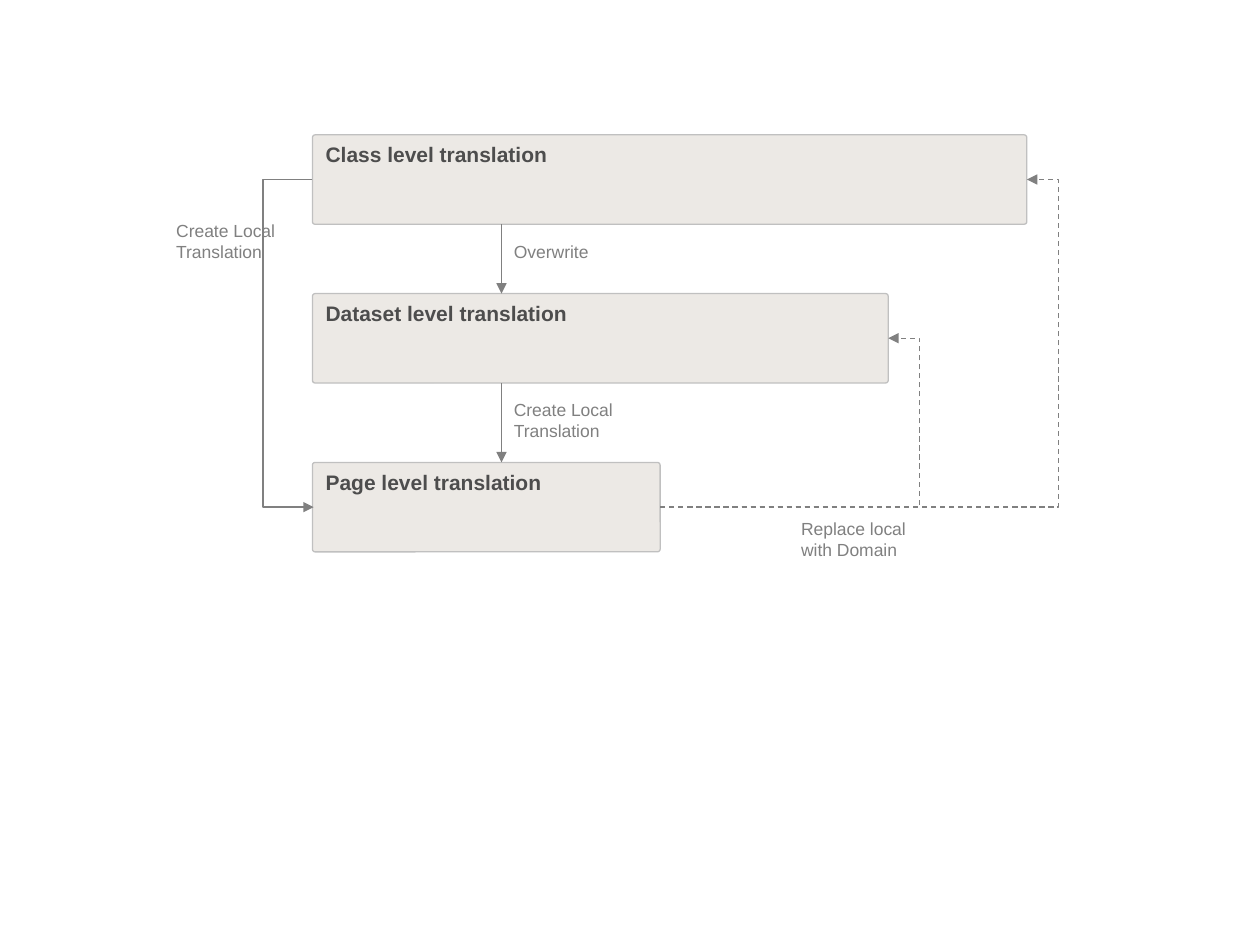
from lxml import etree
from pptx import Presentation
from pptx.dml.color import RGBColor
from pptx.enum import dml, shapes, text
from pptx.oxml.ns import qn
from pptx.util import Inches, Pt

HUES = {"fill": "CAC0B6", "edge": "C0C0C0", "head": "4D4D4D", "note": "808080"}
LEFT, TALL = 2.48, 0.71
# title, top, width
BOXES = [
    ("Class level translation", 1.07, 5.67),
    ("Dataset level translation", 2.33, 4.57),
    ("Page level translation", 3.67, 2.76),
]
# lines, left, top, width, height, wrap
NOTES = [
    (["Create Local", "Translation"], 1.3, 1.7, 1.02, 0.44, False),
    (["Overwrite"], 3.98, 1.86, 0.79, 0.27, False),
    (["Create Local", "Translation"], 3.98, 3.12, 1.02, 0.44, False),
    (["Replace local with Domain"], 6.26, 4.06, 1.18, 0.44, True),
]
DOWN = 3.98   # x of the straight arrows
LOOP = 0.4    # reach of the solid bend on the left
BACK = 0.25   # reach of the dashed bends past their boxes
NUDGE = 0.01  # an elbow needs some width for its bend to scale


def hue(name):
    return RGBColor.from_string(HUES[name])


def write(shape, lines, wrap, form):
    frame = shape.text_frame
    frame.word_wrap = wrap
    frame.vertical_anchor = text.MSO_ANCHOR.TOP
    frame.text = "\n".join(lines)
    for para in frame.paragraphs:
        para.alignment = text.PP_ALIGN.LEFT
        para.font.color.rgb = hue(form["hue"])
        for key, val in form["font"].items():
            setattr(para.font, key, val)


def arrow(slide, start, end, bend=None, dash=False):
    """Draw an arrow; bend is the x of the upright part of an elbow."""
    kind = shapes.MSO_CONNECTOR
    line = slide.shapes.add_connector(
        kind.STRAIGHT if bend is None else kind.ELBOW,
        *map(Inches, (*start, *end)))
    line.line.color.rgb = hue("note")
    line.line.width = Pt(0.75)
    if dash:
        line.line.dash_style = dml.MSO_LINE.DASH
    props = line._element.spPr
    etree.SubElement(props.find(qn("a:ln")), qn("a:tailEnd"), type="triangle")
    etree.SubElement(props, qn("a:effectLst"))
    if bend is not None:
        part = round((bend - start[0]) / (end[0] - start[0]) * 100000)
        guides = props.find(qn("a:prstGeom")).get_or_add_avLst()
        etree.SubElement(guides, qn("a:gd"), name="adj1", fmla=f"val {part}")


def main():
    deck = Presentation()
    deck.slide_width, deck.slide_height = Inches(10), Inches(7.5)
    slide = deck.slides.add_slide(deck.slide_layouts[6])

    head = {"hue": "head", "font": {"name": "Arial", "size": Pt(12), "bold": True}}
    note = {"hue": "note", "font": {"name": "Arial", "size": Pt(10)}}

    for title, top, wide in BOXES:
        box = slide.shapes.add_shape(
            shapes.MSO_SHAPE.ROUNDED_RECTANGLE,
            *map(Inches, (LEFT, top, wide, TALL)))
        box.adjustments[0] = 0.03
        box.shadow.inherit = False
        box.fill.solid()
        box.fill.fore_color.rgb = hue("fill")
        tint = box._element.spPr.find(".//" + qn("a:srgbClr"))
        etree.SubElement(tint, qn("a:alpha"), val="35000")
        box.line.color.rgb = hue("edge")
        box.line.width = Pt(0.75)
        write(box, [title], True, head)

    tops = [top for _, top, _ in BOXES]
    mids = [top + TALL / 2 for top in tops]
    ends = [LEFT + wide for _, _, wide in BOXES]
    for upper, lower in zip(tops, tops[1:]):
        arrow(slide, (DOWN, upper + TALL), (DOWN, lower))
    arrow(slide, (LEFT, mids[0]), (LEFT + NUDGE, mids[2]), LEFT - LOOP)
    for row in (1, 0):
        arrow(slide, (ends[2], mids[2]), (ends[row], mids[row]),
              ends[row] + BACK, dash=True)

    for lines, *place, wrap in NOTES:
        label = slide.shapes.add_textbox(*map(Inches, place))
        write(label, lines, wrap, note)

    deck.save("out.pptx")


if __name__ == "__main__":
    main()
